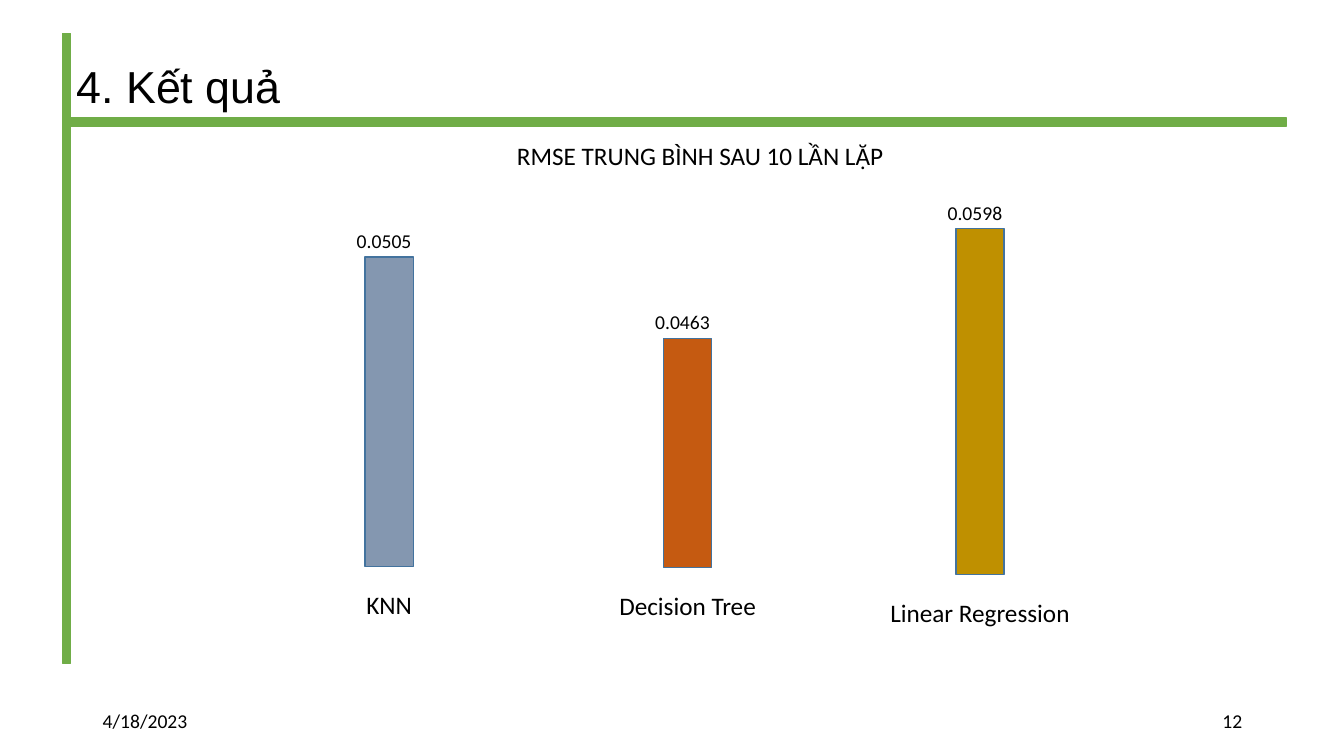
from dataclasses import dataclass

import pptx
import pptx.dml.color
import pptx.enum.shapes
import pptx.enum.text
import pptx.util

CELL = pptx.util.Inches(0.1)  # one grid column or row
ALIGN = pptx.enum.text.PP_ALIGN
ANCHOR = pptx.enum.text.MSO_ANCHOR


@dataclass(frozen=True)
class Theme:
    text: str = "000000"
    rule: str = "70AD47"
    bar_edge: str = "43739E"
    title_font: str = "Arial"
    body_font: str = "Calibri"
    title_size: int = 32
    label_size: int = 18
    small_size: int = 14


THEME = Theme()


@dataclass(frozen=True)
class Box:
    """A region measured in grid columns and rows."""
    left: float
    top: float
    width: float
    height: float

    def within(self, left, top, width, height):
        return Box(self.left + left, self.top + top, width, height)

    def emu(self):
        return [round(n * CELL) for n in (self.left, self.top, self.width, self.height)]


def rgb(value):
    return pptx.dml.color.RGBColor.from_string(value)


def add_text(shapes, box, text, size, font=THEME.body_font,
             align=ALIGN.LEFT, anchor=ANCHOR.TOP, wrap=True):
    frame = shapes.add_textbox(*box.emu()).text_frame
    frame.word_wrap = wrap
    frame.vertical_anchor = anchor
    para = frame.paragraphs[0]
    para.text = text
    para.alignment = align
    para.font.size = pptx.util.Pt(size)
    para.font.name = font
    para.font.color.rgb = rgb(THEME.text)


def add_block(shapes, box, fill, edge):
    block = shapes.add_shape(pptx.enum.shapes.MSO_SHAPE.RECTANGLE, *box.emu())
    block.shadow.inherit = False
    block.fill.solid()
    block.fill.fore_color.rgb = rgb(fill)
    block.line.color.rgb = rgb(edge)
    block.line.width = pptx.util.Pt(1)


def add_heading(page, box, title):
    """Title in the corner of a horizontal and a vertical rule."""
    add_text(page.shapes, box.within(0.4, 2, 22.4, 6.4), title,
             THEME.title_size, THEME.title_font, wrap=False)
    for rule in (box.within(0.7, 8.4, 120.7, 0.8), box.within(0, 0, 0.8, 62.5)):
        add_block(page.shapes, rule, THEME.rule, THEME.rule)


def add_bar(page, box, name, value, fill):
    """Bar filling the box, its value above and its name centred below."""
    group = page.shapes.add_group_shape()
    add_block(group.shapes, box, fill, THEME.bar_edge)
    add_text(group.shapes, box.within(-1.8, -3.3, 11.7, 3.4), value, THEME.small_size)
    name_width = 20.8
    add_text(group.shapes,
             box.within((box.width - name_width) / 2, box.height + 1.8, name_width, 4),
             name, THEME.label_size, align=ALIGN.CENTER)


def add_results(page, box, caption, results):
    add_text(page.shapes, box.within(0, 0, box.width, 4), caption,
             THEME.label_size, align=ALIGN.CENTER)
    bar_width = 4.8
    for name, value, fill, left, top, height in results:
        add_bar(page, box.within(left, top, bar_width, height), name, value, fill)


def add_footer(page, box, date, number):
    half = 30
    for left, text, align in ((0, date, ALIGN.LEFT),
                              (box.width - half, number, ALIGN.RIGHT)):
        add_text(page.shapes, box.within(left, 0, half, box.height), text,
                 THEME.small_size, align=align, anchor=ANCHOR.MIDDLE)


def main():
    deck = pptx.Presentation()
    deck.slide_width = pptx.util.Inches(13.33)
    deck.slide_height = pptx.util.Inches(7.5)
    page = deck.slides.add_slide(deck.slide_layouts[6])

    add_footer(page, Box(9.2, 69.5, 115, 4), "4/18/2023", "12")
    add_heading(page, Box(6.2, 3.3, 121.4, 62.5), "4. Kết quả")
    add_results(page, Box(24.2, 13.4, 90.5, 50), "RMSE TRUNG BÌNH SAU 10 LẦN LẶP", [
        # name, value, fill, left, top, height
        ("KNN", "0.0505", "8497B0", 12, 12.1, 30.7),
        ("Decision Tree", "0.0463", "C55A11", 41.6, 20.2, 22.7),
        ("Linear Regression", "0.0598", "BF9000", 70.6, 9.3, 34.3),
    ])
    deck.save("out.pptx")


if __name__ == "__main__":
    main()
